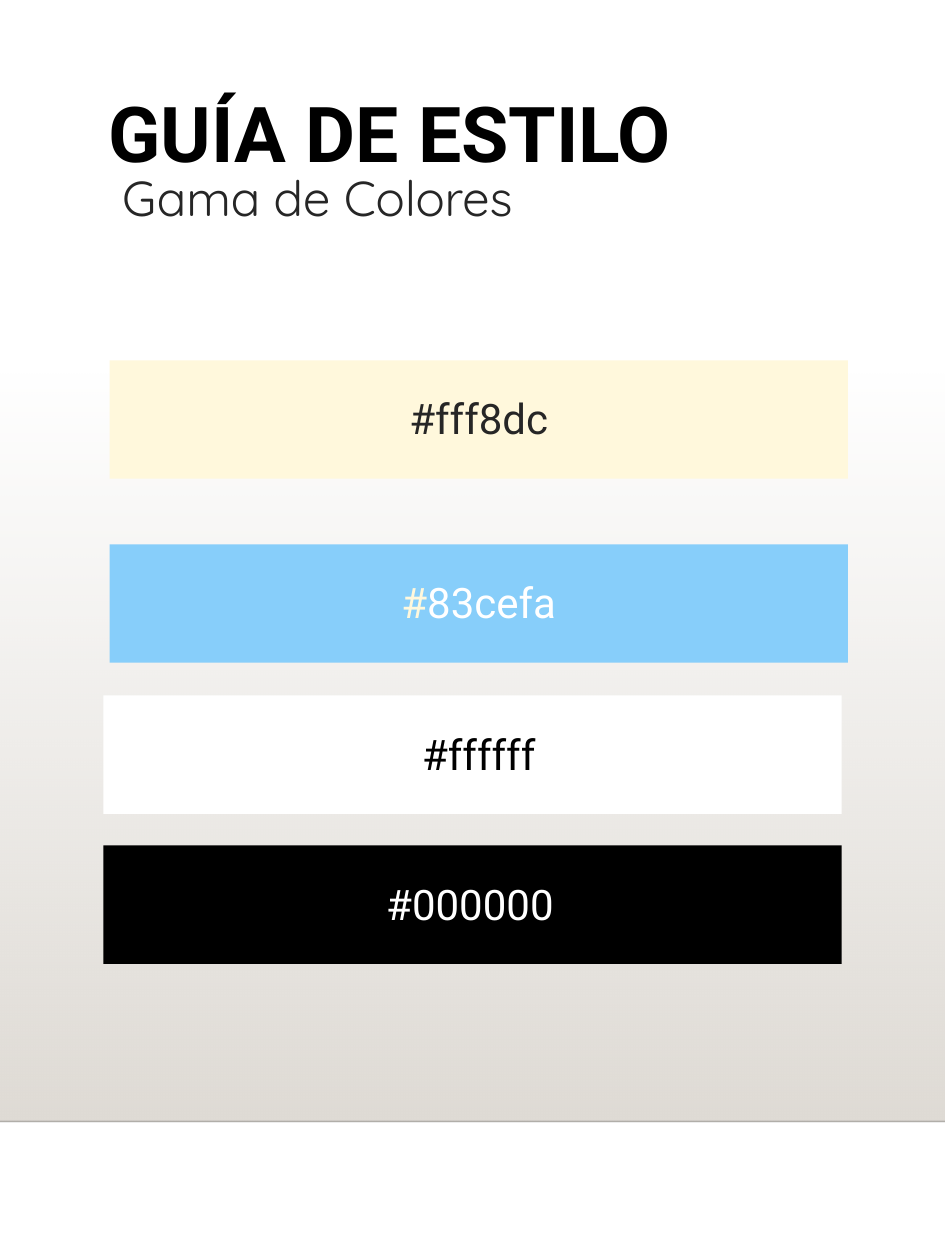
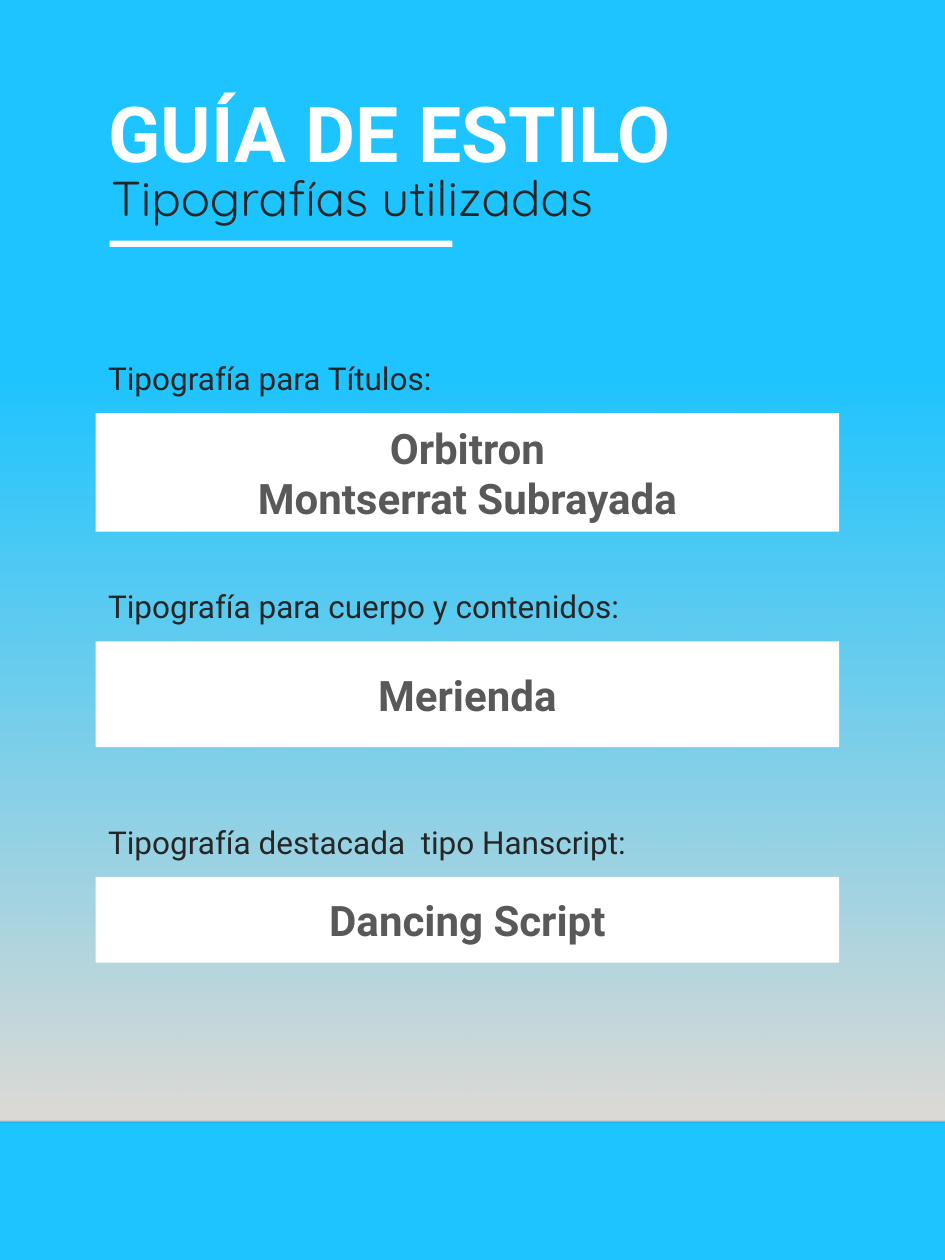
from dataclasses import dataclass

from lxml.etree import SubElement
from pptx import Presentation
from pptx.dml.color import RGBColor
from pptx.enum.shapes import MSO_CONNECTOR, MSO_SHAPE
from pptx.enum.text import MSO_ANCHOR, MSO_AUTO_SIZE, PP_ALIGN
from pptx.oxml.ns import qn
from pptx.util import Inches, Pt


@dataclass(frozen=True)
class Theme:
    white: str = "FFFFFF"
    black: str = "000000"
    ink: str = "262626"
    gray: str = "595959"
    cream: str = "FFF8DC"
    sky: str = "87CEFA"
    cyan: str = "1DC4FF"
    fade: str = "DFDBD5"
    edge: str = "000001"
    text_font: str = "Roboto"
    subtitle_font: str = "Quicksand"
    title_size: int = 44
    subtitle_size: int = 28
    sample_size: int = 24
    label_size: int = 18


THEME = Theme()
WIDTH, HEIGHT = 7.5, 10
FADE_TOP, FADE_BOTTOM = 2.94, 8.9
TITLE_BOX = (0.76, 0.63, 6.08, 0.84)
RULE_BOX = (0.87, 1.91, 2.72, 0.05)
TITLE = "GUÍA DE ESTILO"

COLORS_PAGE = {
    "subtitle": "Gama de Colores",
    "subtitle_box": (0.87, 1.28, 4.91, 0.57),
    "align": PP_ALIGN.LEFT,
    "background": THEME.white,
    "title_color": THEME.black,
}
FONTS_PAGE = {
    "subtitle": "Tipografías utilizadas",
    "subtitle_box": (0.76, 1.28, 4.07, 0.57),
    "align": PP_ALIGN.CENTER,
    "background": THEME.cyan,
    "title_color": THEME.white,
}

SWATCH_WIDTH, SWATCH_HEIGHT = 5.86, 0.94
CODE_WIDTH, CODE_HEIGHT, CODE_DROP = 3, 0.5, 0.21
SWATCHES = [
    (0.87, 2.86, THEME.cream, 2.3, [("#fff8dc", THEME.ink)]),
    (0.87, 4.32, THEME.sky, 2.3, [("#", THEME.cream), ("83cefa", THEME.white)]),
    (0.82, 5.52, THEME.white, 2.3, [("#ffffff", THEME.black)]),
    (0.82, 6.71, THEME.black, 2.23, [("#000000", THEME.white)]),
]

SAMPLE_LEFT, SAMPLE_WIDTH = 0.76, 5.9
LABEL_HEIGHT, LABEL_RISE = 0.4, 0.48
SAMPLES = [
    ("Tipografía para Títulos:", ["Orbitron", "Montserrat Subrayada"], 3.28, 0.94),
    ("Tipografía para cuerpo y contenidos:", ["Merienda"], 5.09, 0.84),
    ("Tipografía destacada  tipo Hanscript:", ["Dancing Script"], 6.96, 0.68),
]


def place(shape, box):
    shape.left, shape.top, shape.width, shape.height = map(Inches, box)


def write(shape, lines, size, color=THEME.ink, font=THEME.text_font, bold=False,
          align=PP_ALIGN.LEFT, anchor=MSO_ANCHOR.TOP):
    frame = shape.text_frame
    frame.word_wrap = True
    frame.auto_size = MSO_AUTO_SIZE.NONE
    frame.vertical_anchor = anchor
    for index, line in enumerate(lines):
        paragraph = frame.add_paragraph() if index else frame.paragraphs[0]
        paragraph.alignment = align
        paragraph.space_before = Pt(0)
        pieces = [(line, color)] if isinstance(line, str) else line
        for text, piece_color in pieces:
            run = paragraph.add_run()
            run.text = text
            run.font.name = font
            run.font.size = Pt(size)
            run.font.bold = bold
            run.font.color.rgb = RGBColor.from_string(piece_color)


def add_text(slide, box, lines, **style):
    write(slide.shapes.add_textbox(*map(Inches, box)), lines, **style)


def add_rectangle(slide, box, color):
    shape = slide.shapes.add_shape(MSO_SHAPE.RECTANGLE, *map(Inches, box))
    shape.shadow.inherit = False
    shape.line.fill.background()
    shape.fill.solid()
    shape.fill.fore_color.rgb = RGBColor.from_string(color)
    return shape


def set_opacity(shape, percents):
    for color, percent in zip(shape.element.iter(qn("a:srgbClr")), percents):
        SubElement(color, qn("a:alpha")).set("val", str(percent * 1000))


def decorate_layout(slide):
    fade = add_rectangle(
        slide, (0, FADE_TOP, WIDTH, FADE_BOTTOM - FADE_TOP), THEME.fade)
    fade.fill.gradient()
    fade.fill.gradient_angle = 270
    for stop in fade.fill.gradient_stops:
        stop.color.rgb = RGBColor.from_string(THEME.fade)
    set_opacity(fade, [0, 100])

    edge = slide.shapes.add_connector(
        MSO_CONNECTOR.STRAIGHT, 0, Inches(FADE_BOTTOM),
        Inches(WIDTH), Inches(FADE_BOTTOM))
    edge.line.width = Pt(1)
    edge.line.color.rgb = RGBColor.from_string(THEME.edge)
    set_opacity(edge, [20])
    SubElement(edge.element.spPr, qn("a:effectLst"))

    for shape in (fade, edge):
        slide.slide_layout.shapes.element.append(shape.element)


def add_page(presentation, page):
    slide = presentation.slides.add_slide(presentation.slide_layouts[0])
    slide.background.fill.solid()
    slide.background.fill.fore_color.rgb = RGBColor.from_string(page["background"])
    title, subtitle = slide.placeholders
    place(title, TITLE_BOX)
    write(title, [TITLE], size=THEME.title_size, color=page["title_color"], bold=True)
    place(subtitle, page["subtitle_box"])
    write(subtitle, [page["subtitle"]], size=THEME.subtitle_size,
          font=THEME.subtitle_font, align=page["align"])
    add_rectangle(slide, RULE_BOX, THEME.white)
    return slide


presentation = Presentation()
presentation.slide_width = Inches(WIDTH)
presentation.slide_height = Inches(HEIGHT)

colors_slide = add_page(presentation, COLORS_PAGE)
decorate_layout(colors_slide)
for left, top, color, code_left, code in SWATCHES:
    add_rectangle(colors_slide, (left, top, SWATCH_WIDTH, SWATCH_HEIGHT), color)
    add_text(colors_slide, (code_left, top + CODE_DROP, CODE_WIDTH, CODE_HEIGHT),
             [code], size=THEME.sample_size, align=PP_ALIGN.CENTER)

fonts_slide = add_page(presentation, FONTS_PAGE)
for label, names, top, height in SAMPLES:
    sample = add_rectangle(
        fonts_slide, (SAMPLE_LEFT, top, SAMPLE_WIDTH, height), THEME.white)
    write(sample, names, size=THEME.sample_size, color=THEME.gray, bold=True,
          align=PP_ALIGN.CENTER, anchor=MSO_ANCHOR.MIDDLE)
    add_text(fonts_slide, (SAMPLE_LEFT, top - LABEL_RISE, SAMPLE_WIDTH, LABEL_HEIGHT),
             [label], size=THEME.label_size)

presentation.save("out.pptx")
